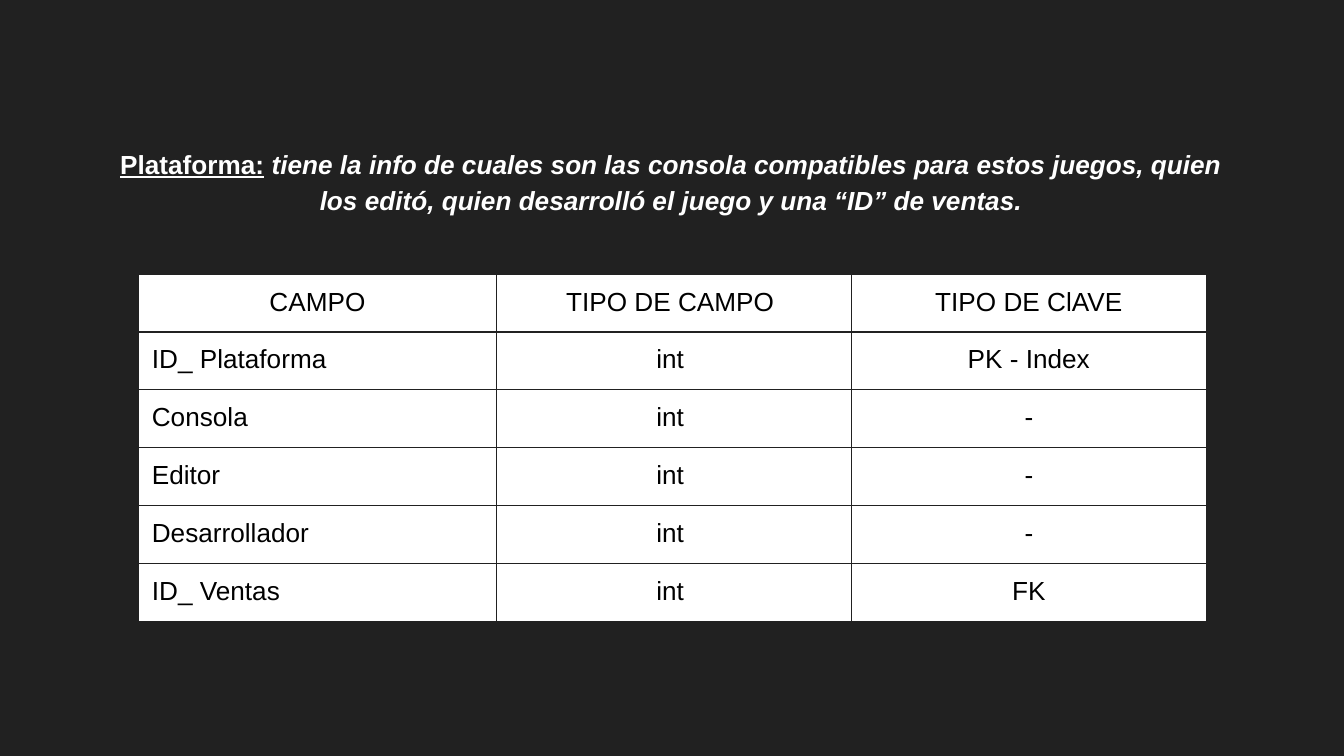
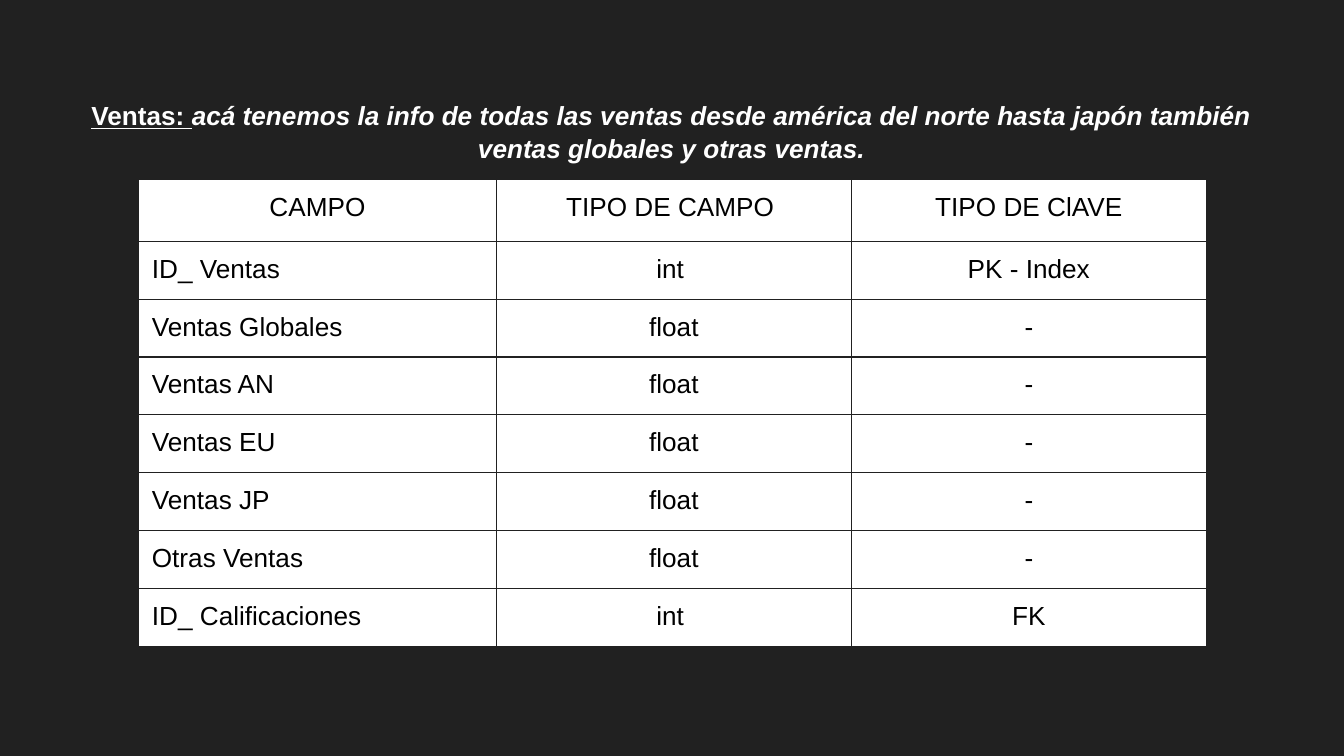
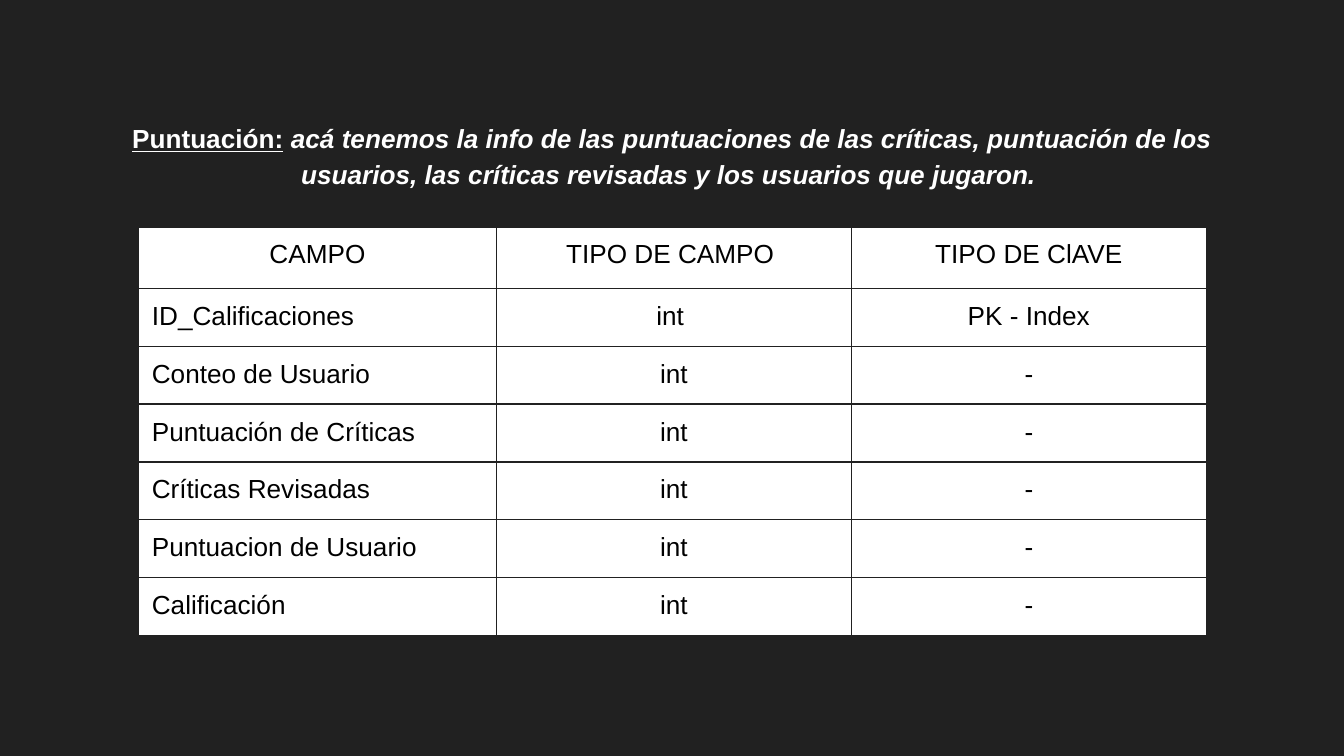
from lxml import etree
from pptx import Presentation
from pptx.dml.color import RGBColor
from pptx.enum.text import MSO_ANCHOR, PP_ALIGN
from pptx.oxml.ns import qn
from pptx.util import Cm, Pt

CENTER = PP_ALIGN.CENTER
LEFT = PP_ALIGN.LEFT
TOP = MSO_ANCHOR.TOP

BACKGROUND = "212121"
WHITE = "FFFFFF"
BLACK = "000000"

FONT = {"name": "Arial", "size": Pt(14)}
TERM_FONT = {**FONT, "bold": True, "underline": True}
GAP_FONT = {**FONT, "bold": True}
DESCRIPTION_FONT = {**FONT, "bold": True, "italic": True}

MARGIN = Cm(0.25)
FRAME_MARGINS = {f"margin_{side}": MARGIN for side in ("left", "top", "right", "bottom")}
FRAME_FORMAT = {**FRAME_MARGINS, "word_wrap": True, "vertical_anchor": TOP}
CELL_FORMAT = {**FRAME_MARGINS, "vertical_anchor": TOP}
PLAIN_TABLE = {"first_row": False, "horz_banding": False}

TABLE_LEFT = 2.62
COLUMN_WIDTHS = (6.76, 6.71, 6.71)
ROW_HEIGHT = 1.06
BORDER_SIDES = ("a:lnL", "a:lnR", "a:lnT", "a:lnB")
BORDER_WIDTH = Pt(0.75)
HEADER = ("CAMPO", "TIPO DE CAMPO ", "TIPO DE ClAVE")

ENTITIES = [
    {
        "heading_box": (1.73, 2.46, 21.92, 2.06),
        "line_spacing": 1.15,
        "heading": [
            ("Plataforma:", TERM_FONT),
            (" ", GAP_FONT),
            ("tiene la info de cuales son las consola compatibles para estos juegos, "
             "quien los editó, quien desarrolló el juego y una “ID” de ventas.", DESCRIPTION_FONT),
        ],
        "table_top": 5.18,
        "header_height": ROW_HEIGHT,
        "fields": [
            ("ID_ Plataforma", "int ", "PK - Index"),
            ("Consola", "int ", "-"),
            ("Editor", "int ", "-"),
            ("Desarrollador", "int ", "-"),
            ("ID_ Ventas", "int ", "FK"),
        ],
    },
    {
        "heading_box": (1.14, 1.6, 23.11, 1.57),
        "line_spacing": 1.05,
        "heading": [
            ("Ventas: ", TERM_FONT),
            ("acá tenemos la info de todas las ventas desde américa del norte hasta "
             "japón también ventas globales y otras ventas.", DESCRIPTION_FONT),
        ],
        "table_top": 3.4,
        "header_height": 1.16,
        "fields": [
            ("ID_ Ventas", "int ", "PK - Index"),
            ("Ventas Globales", "float", "-"),
            ("Ventas AN", "float", "-"),
            ("Ventas EU", "float", "-"),
            ("Ventas JP", "float", "-"),
            ("Otras Ventas", "float", "-"),
            ("ID_ Calificaciones", "int ", "FK"),
        ],
    },
    {
        "heading_box": (1.37, 1.98, 22.68, 2.01),
        "line_spacing": 1.15,
        "heading": [
            ("Puntuación:", TERM_FONT),
            (" acá tenemos la info de las puntuaciones de las críticas, puntuación de los "
             "usuarios, las críticas revisadas y los usuarios que jugaron. ", DESCRIPTION_FONT),
        ],
        "table_top": 4.29,
        "header_height": 1.16,
        "fields": [
            ("ID_Calificaciones", "int ", "PK - Index"),
            ("Conteo de Usuario", "int", "-"),
            ("Puntuación de Críticas", "int", "-"),
            ("Críticas Revisadas", "int", "-"),
            ("Puntuacion de Usuario", "int", "-"),
            ("Calificación", "int", "-"),
        ],
    },
]


def set_format(target, values):
    for name, value in values.items():
        setattr(target, name, value)


def paint(color_format, color):
    color_format.rgb = RGBColor.from_string(color)


def fill_solid(fill, color):
    fill.solid()
    paint(fill.fore_color, color)


def add_run(paragraph, text, font_format, color):
    run = paragraph.add_run()
    run.text = text
    set_format(run.font, font_format)
    paint(run.font.color, color)


def add_heading(slide, box, parts, line_spacing):
    shape = slide.shapes.add_textbox(*map(Cm, box))
    set_format(shape.text_frame, FRAME_FORMAT)
    paragraph = shape.text_frame.paragraphs[0]
    set_format(paragraph, {"alignment": CENTER, "line_spacing": line_spacing, "space_after": Pt(12)})
    for text, font_format in parts:
        add_run(paragraph, text, font_format, WHITE)


def add_borders(cell):
    properties = cell._tc.get_or_add_tcPr()
    for position, side in enumerate(BORDER_SIDES):
        line = etree.Element(qn(side), w=str(BORDER_WIDTH))
        solid_fill = etree.SubElement(line, qn("a:solidFill"))
        etree.SubElement(solid_fill, qn("a:srgbClr"), val=BACKGROUND)
        properties.insert(position, line)


def fill_cell(cell, text, alignment):
    set_format(cell, CELL_FORMAT)
    fill_solid(cell.fill, WHITE)
    add_borders(cell)
    paragraph = cell.text_frame.paragraphs[0]
    paragraph.alignment = alignment
    add_run(paragraph, text, FONT, BLACK)


def add_field_table(slide, top, header_height, fields):
    rows = [HEADER, *fields]
    heights = [header_height] + [ROW_HEIGHT] * len(fields)
    frame = slide.shapes.add_table(
        len(rows), len(HEADER), Cm(TABLE_LEFT), Cm(top), Cm(sum(COLUMN_WIDTHS)), Cm(sum(heights)))
    table = frame.table
    set_format(table, PLAIN_TABLE)
    for column, width in zip(table.columns, COLUMN_WIDTHS):
        column.width = Cm(width)
    for row_index, (texts, height) in enumerate(zip(rows, heights)):
        table.rows[row_index].height = Cm(height)
        for column_index, text in enumerate(texts):
            alignment = LEFT if row_index and not column_index else CENTER
            fill_cell(table.cell(row_index, column_index), text, alignment)


def add_entity_slide(presentation, entity):
    slide = presentation.slides.add_slide(presentation.slide_layouts[6])
    fill_solid(slide.background.fill, BACKGROUND)
    add_heading(slide, entity["heading_box"], entity["heading"], entity["line_spacing"])
    add_field_table(slide, entity["table_top"], entity["header_height"], entity["fields"])


def main():
    presentation = Presentation()
    set_format(presentation, {"slide_width": Cm(25.4), "slide_height": Cm(14.29)})
    for entity in ENTITIES:
        add_entity_slide(presentation, entity)
    presentation.save("out.pptx")


if __name__ == "__main__":
    main()
